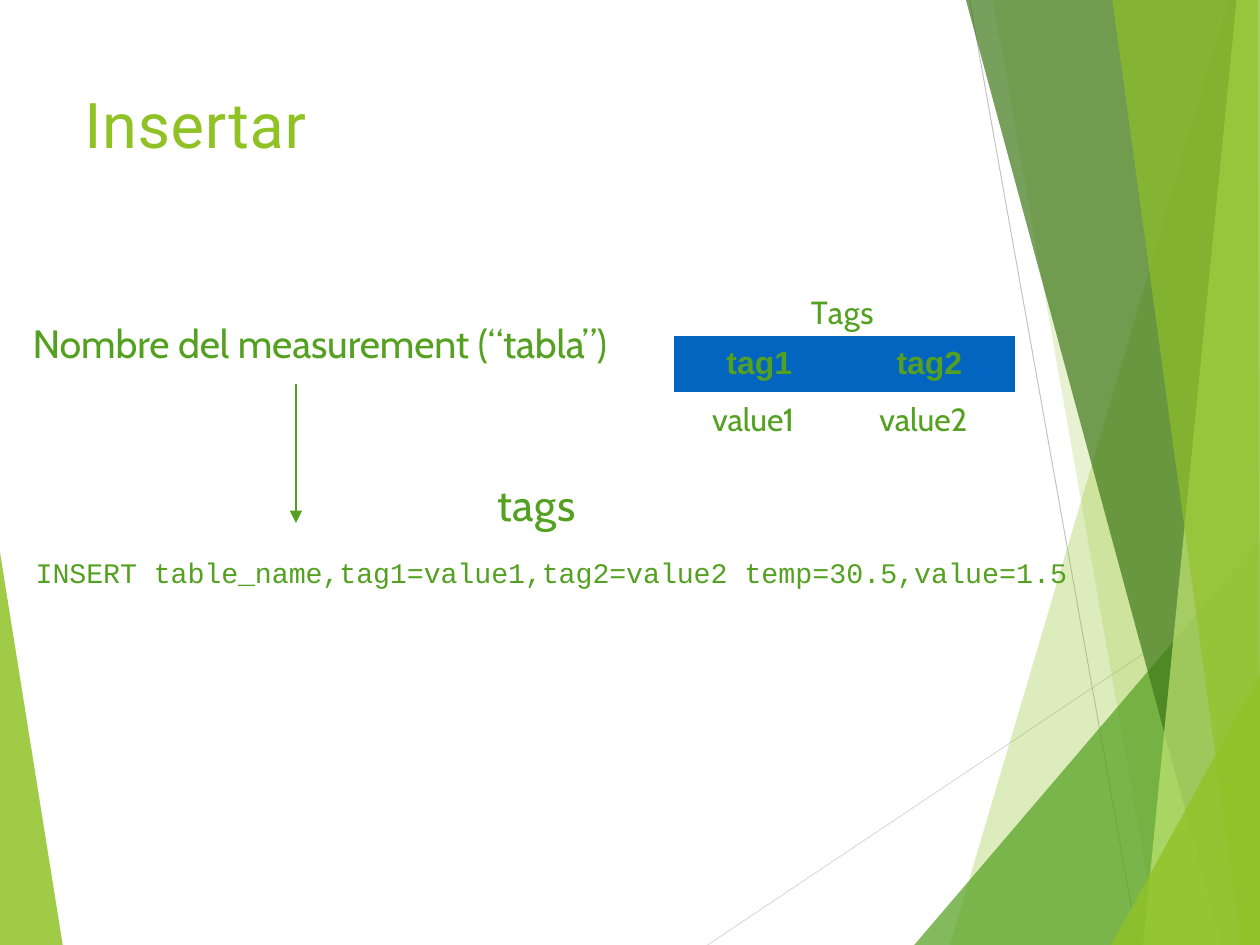
from lxml import etree
from pptx import Presentation, util as u
from pptx.dml.color import RGBColor
from pptx.enum import shapes, text
from pptx.oxml import ns

Pt = u.Pt
WIDTH, HEIGHT = 1024, 768
LIME = RGBColor(0x90, 0xC2, 0x26)
GREEN = RGBColor(0x54, 0xA0, 0x21)
DARK_GREEN = RGBColor(0x3F, 0x78, 0x19)
PALE_LIME = RGBColor(0xC0, 0xE4, 0x74)
BLUE = RGBColor(0x03, 0x65, 0xC0)
WHITE = RGBColor(0xFF, 0xFF, 0xFF)
GREY = RGBColor(0xD9, 0xD9, 0xD9)
MID_GREY = RGBColor(0xBF, 0xBF, 0xBF)

# Content: runs are (text, letter spacing)
TITLE = [("Insertar", 0.6)]
LABELS = [  # runs, box (left, top, width, height), font, size
    ([("INSERT table_name,tag1=value1,tag2=value2 ", -0.1),
      ("temp=30.5,value=1.5", 0)], (29, 450, 860, 30), "Courier New", 23),
    ([("Nombre del measurement (“tabla”)", -0.1)],
     (26.5, 258, 502, 41), "Cabin", 32),
    ([("tags", 0.5)], (404, 386.5, 72, 45), "Cabin", 36),
    ([("T", -4.3), ("ags", 0.5)], (659, 237, 57, 33), "Cabin", 26),
]
TAG_ROWS = [  # texts, font, bold, fill, right margin
    (("tag1", "tag2"), "Arial", True, BLUE, 0),
    (("value1", "value2"), "Cabin", False, WHITE, 10),
]
TABLE_BOX = (548, 273, 276.5, 91)
ARROW = ((240.5, 312), (240.5, 425))

# Background: thin lines, then facets as (corners, colour, opacity %)
THIN_LINES = [((575, HEIGHT), (WIDTH, 468), GREY),
              ((788, 0), (925, HEIGHT), MID_GREY)]
LOW_RIGHT, TOP_RIGHT = (WIDTH, HEIGHT), (WIDTH, 0)
FACETS = [
    ([(0, 449), (51, HEIGHT), (0, HEIGHT)], LIME, 85),
    ([(999, 0), (772, HEIGHT), LOW_RIGHT, TOP_RIGHT], LIME, 30),
    ([(807, 0), (942, HEIGHT), LOW_RIGHT, TOP_RIGHT], LIME, 20),
    ([(743, HEIGHT), (WIDTH, 439), LOW_RIGHT], GREEN, 72),
    ([(785, 0), (993, HEIGHT), LOW_RIGHT, TOP_RIGHT], DARK_GREEN, 70),
    ([(1005, 0), (929, HEIGHT), LOW_RIGHT, TOP_RIGHT], PALE_LIME, 70),
    ([(904, 0), (1009, HEIGHT), LOW_RIGHT, (1022, 0)], LIME, 65),
    ([(903, HEIGHT), (WIDTH, 548), LOW_RIGHT], LIME, 80),
]


def points(values):
    return [Pt(value) for value in values]


def add_line(slide, start, end, color, weight):
    line = slide.shapes.add_connector(
        shapes.MSO_CONNECTOR.STRAIGHT, *points(start + end))
    line.line.color.rgb = color
    line.line.width = Pt(weight)
    etree.SubElement(line._element.spPr, ns.qn("a:effectLst"))
    return line


def add_facet(slide, corners, color, opacity):
    first, *others = [points(corner) for corner in corners]
    builder = slide.shapes.build_freeform(*first)
    builder.add_line_segments(others, close=True)
    facet = builder.convert_to_shape()
    facet.shadow.inherit = False
    facet.line.fill.background()
    facet.fill.solid()
    facet.fill.fore_color.rgb = color
    color_node = facet._element.spPr.find(".//" + ns.qn("a:srgbClr"))
    etree.SubElement(color_node, ns.qn("a:alpha"), val=str(opacity * 1000))


def style(font, name, size, color, bold=False):
    font.name, font.size, font.bold = name, Pt(size), bold
    font.color.rgb = color


def write(shape, runs, box, font, size, color):
    shape.left, shape.top, shape.width, shape.height = points(box)
    frame = shape.text_frame
    frame.word_wrap = True
    frame.auto_size = text.MSO_AUTO_SIZE.NONE
    frame.vertical_anchor = text.MSO_ANCHOR.TOP
    frame.margin_left = frame.margin_right = frame.margin_bottom = 0
    frame.margin_top = Pt(1)
    paragraph = frame.paragraphs[0]
    paragraph.alignment = text.PP_ALIGN.LEFT
    for words, spacing in runs:
        run = paragraph.add_run()
        run.text = words
        style(run.font, font, size, color)
        run.font._element.set("spc", str(round(spacing * 100)))


def add_tag_table(slide):
    table = slide.shapes.add_table(
        len(TAG_ROWS), len(TAG_ROWS[0][0]), *points(TABLE_BOX)).table
    table.first_row = table.horz_banding = False
    for r, (texts, font, bold, fill, margin) in enumerate(TAG_ROWS):
        for c, words in enumerate(texts):
            cell = table.cell(r, c)
            cell.fill.solid()
            cell.fill.fore_color.rgb = fill
            cell.margin_left = cell.margin_top = cell.margin_bottom = 0
            cell.margin_right = Pt(margin)
            cell.vertical_anchor = text.MSO_ANCHOR.MIDDLE
            paragraph = cell.text_frame.paragraphs[0]
            paragraph.text = words
            paragraph.alignment = text.PP_ALIGN.CENTER
            style(paragraph.runs[0].font, font, 26, GREEN, bold)
            # No cell borders, in schema order before the fill
            for i, side in enumerate(("lnL", "lnR", "lnT", "lnB")):
                border = etree.Element(ns.qn("a:" + side), w="0")
                etree.SubElement(border, ns.qn("a:noFill"))
                cell._tc.tcPr.insert(i, border)


def main():
    deck = Presentation()
    deck.slide_width, deck.slide_height = Pt(WIDTH), Pt(HEIGHT)
    slide = deck.slides.add_slide(deck.slide_layouts[5])

    # Background facets
    for start, end, color in THIN_LINES:
        add_line(slide, start, end, color, 0.75)
    for facet in FACETS:
        add_facet(slide, *facet)

    # Title and labels
    write(slide.shapes.title, TITLE, (68.5, 68.5, 710, 63), "Roboto", 51.2, LIME)
    for runs, box, font, size in LABELS:
        label = slide.shapes.add_textbox(*points(box))
        write(label, runs, box, font, size, GREEN)

    # Arrow from the measurement name to the statement
    arrow = add_line(slide, *ARROW, GREEN, 2)
    etree.SubElement(arrow.line._get_or_add_ln(), ns.qn("a:tailEnd"),
                     type="triangle", w="lg", len="lg")

    add_tag_table(slide)
    deck.save("out.pptx")


if __name__ == "__main__":
    main()
